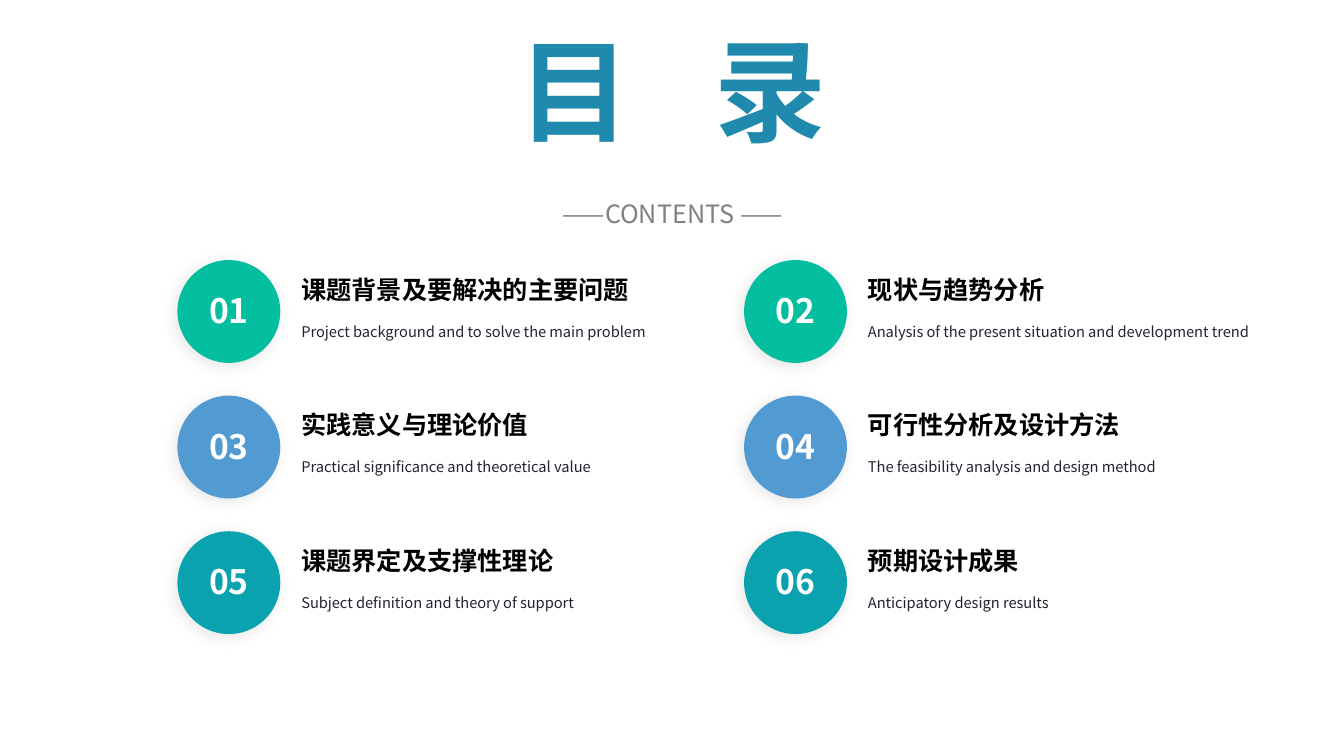
"""Builds a contents slide with six numbered topics in two columns."""
import pptx
import pptx.util
import pptx.dml.color
import pptx.enum.shapes
import pptx.enum.text
import pptx.oxml
import pptx.oxml.ns

RGB = pptx.dml.color.RGBColor
Inches = pptx.util.Inches
ALIGN = pptx.enum.text.PP_ALIGN

TITLE = "目录"
LABEL = "——CONTENTS ——"
TOPICS = [
    ("课题背景及要解决的主要问题", "Project background and to solve the main problem"),
    ("现状与趋势分析", "Analysis of the present situation and development trend"),
    ("实践意义与理论价值", "Practical significance and theoretical value"),
    ("可行性分析及设计方法", "The feasibility analysis and design method"),
    ("课题界定及支撑性理论", "Subject definition and theory of support"),
    ("预期设计成果", "Anticipatory design results"),
]

FONT = "Noto Sans CJK SC"
BLUE = RGB(0x20, 0x8A, 0xAE)
GREY = RGB(0x80, 0x80, 0x80)
WHITE = RGB(0xFF, 0xFF, 0xFF)
BLACK = RGB(0, 0, 0)
INK = RGB(0x22, 0x24, 0x30)
ROWS = [RGB(0x03, 0xBE, 0x9F), RGB(0x52, 0x9B, 0xD2), RGB(0x0B, 0xA2, 0xB0)]

LEFT, TOP = 1.76, 2.58
COL, ROW = 5.62, 1.345
DISC = 1.02
SHADE = (
    '<a:effectLst xmlns:a="http://schemas.openxmlformats.org/drawingml/2006/main">'
    '<a:outerShdw blurRad="139700" dist="38100" dir="8100000" algn="tr" rotWithShape="0">'
    '<a:srgbClr val="000000"><a:alpha val="10000"/></a:srgbClr>'
    '</a:outerShdw></a:effectLst>'
)


def write(slide, text, box, size, color, bold=False, align=ALIGN.LEFT, gap=0, shape=None):
    """Write one line of text in a new text box or in the given shape."""
    spots = [Inches(n) for n in box]
    if shape is None:
        shape = slide.shapes.add_textbox(*spots)
    shape.left, shape.top, shape.width, shape.height = spots
    frame = shape.text_frame
    frame.word_wrap = True
    frame.auto_size = pptx.enum.text.MSO_AUTO_SIZE.SHAPE_TO_FIT_TEXT
    frame.vertical_anchor = pptx.enum.text.MSO_ANCHOR.TOP
    line = frame.paragraphs[0]
    line.alignment = align
    run = line.add_run()
    run.text = text
    font = run.font
    font.size, font.bold, font.name = pptx.util.Pt(size), bold, FONT
    font.color.rgb = color
    props = run._r.get_or_add_rPr()
    face = props.makeelement(pptx.oxml.ns.qn("a:ea"), {"typeface": FONT})
    props.append(face)
    if gap:
        props.set("spc", str(gap * 100))


def disc(slide, left, top, color):
    """Draw a round badge with a soft shadow."""
    shape = slide.shapes.add_shape(
        pptx.enum.shapes.MSO_SHAPE.OVAL,
        Inches(left), Inches(top), Inches(DISC), Inches(DISC))
    shape.fill.solid()
    shape.fill.fore_color.rgb = color
    shape.line.fill.background()
    shape._element.spPr.append(pptx.oxml.parse_xml(SHADE))


def main():
    """Build and save the slide."""
    deck = pptx.Presentation()
    deck.slide_width, deck.slide_height = Inches(13.33), Inches(7.5)
    slide = deck.slides.add_slide(deck.slide_layouts[5])
    write(slide, TITLE, (5.04, 0.16, 4.3, 1.45), 80, BLUE, bold=True,
          gap=60, shape=slide.shapes.title)
    write(slide, LABEL, (3.13, 1.92, 7.08, 0.4), 18, GREY, align=ALIGN.CENTER)
    for i, (head, sub) in enumerate(TOPICS):
        row, col = divmod(i, 2)
        x, y = LEFT + col * COL, TOP + row * ROW
        disc(slide, x, y, ROWS[row])
        write(slide, f"{i + 1:02}", (x + 0.1, y + 0.25, 0.82, 0.5), 24, WHITE,
              bold=True, align=ALIGN.CENTER)
        write(slide, head, (x + 1.13, y + 0.09, 3.57, 0.4), 18, BLACK, bold=True)
        write(slide, sub, (x + 1.13, y + 0.57, 4.21, 0.28), 10.5, INK)
    deck.save("out.pptx")


if __name__ == "__main__":
    main()
